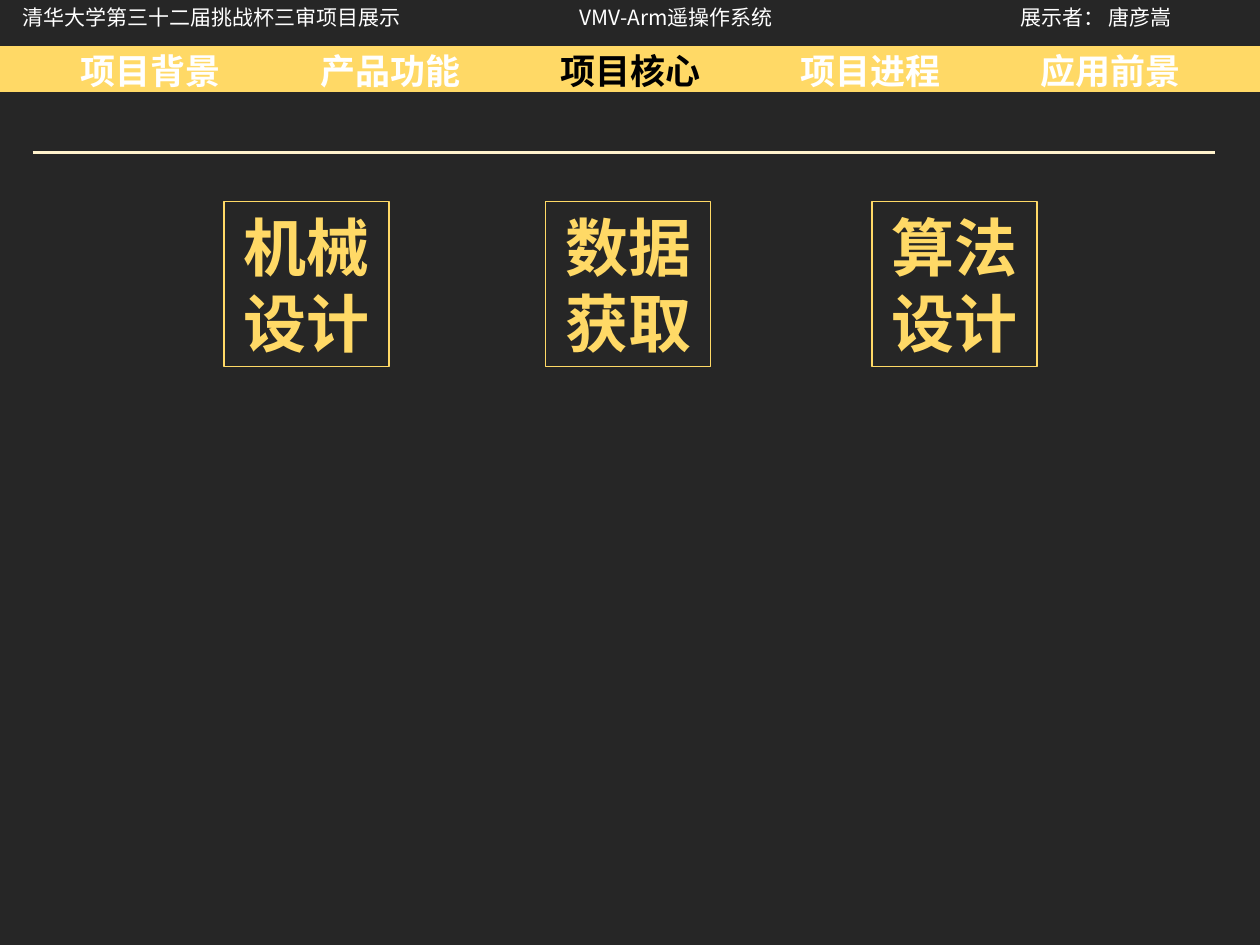
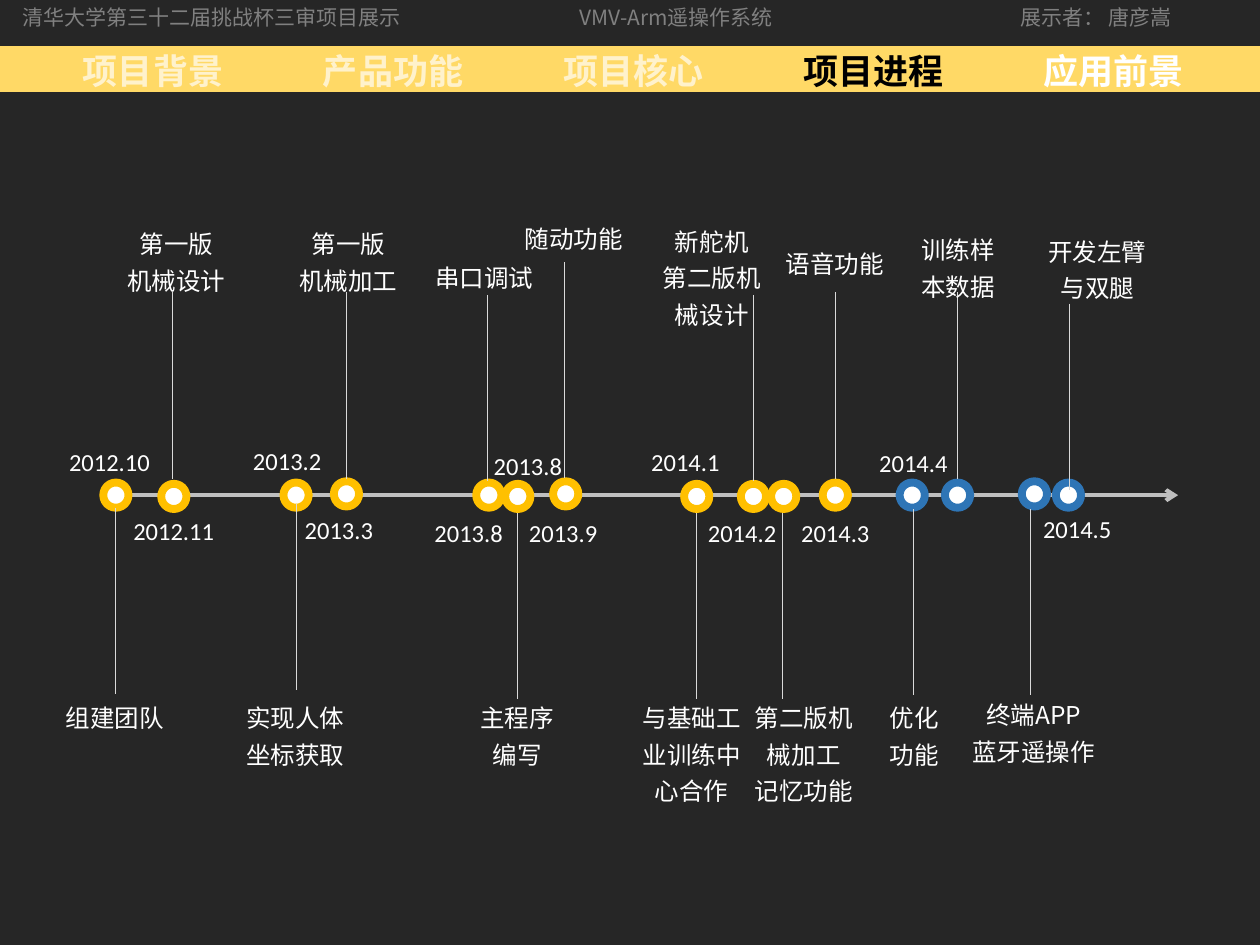
import pptx
import pptx.util
import pptx.dml.color
import pptx.enum.shapes
import pptx.enum.text
import pptx.oxml.ns
from lxml import etree

Inches = pptx.util.Inches
Pt = pptx.util.Pt
RGBColor = pptx.dml.color.RGBColor
MSO_SHAPE = pptx.enum.shapes.MSO_SHAPE
PP_ALIGN = pptx.enum.text.PP_ALIGN
qn = pptx.oxml.ns.qn

DARK = RGBColor(0x26, 0x26, 0x26)
YELLOW = RGBColor(0xFF, 0xD9, 0x66)
CREAM = RGBColor(0xFF, 0xF2, 0xCC)
WHITE = RGBColor(0xFF, 0xFF, 0xFF)
BLACK = RGBColor(0x00, 0x00, 0x00)
GREY = RGBColor(0x80, 0x80, 0x80)
AXIS = RGBColor(0xBF, 0xBF, 0xBF)
STEM = RGBColor(0xD9, 0xD9, 0xD9)
DONE = RGBColor(0xFF, 0xC0, 0x00)
PLANNED = RGBColor(0x2E, 0x75, 0xB6)

CJK = "Noto Sans CJK SC"
LATIN = "Calibri"

SECTIONS = ["项目背景", "产品功能", "项目核心", "项目进程", "应用前景"]
HEADER = ["清华大学第三十二届挑战杯三审项目展示", "VMV-Arm遥操作系统", "展示者： 唐彦嵩"]
HEADER_TABS = [4.42, 7.92]
SECTION_PITCH = 1.905

CORES = [(0, "机械设计"), (2.55, "数据获取"), (5.14, "算法设计")]

DOT = 0.2
STEM_LENGTH = 1.48
DATE_WIDTH = 1.03

# dot x, dot y, ring, stem x, stem y, label, label x, label y, label width, date, date x, date y
MILESTONES = [
    (0.82, 3.83, DONE, 0.92, 4.03, "组建团队", 0.4, 5.47, 1.02, "2012.10", 0.45, 3.5),
    (1.28, 3.84, DONE, 1.37, 2.32, "第一版\n机械设计", 0.78, 1.71, 1.24, "2012.11", 0.96, 4.05),
    (2.25, 3.83, DONE, 2.35, 4.0, "实现人体坐标获取", 1.79, 5.47, 1.11, "2013.2", 1.91, 3.49),
    (2.65, 3.82, DONE, 2.75, 2.32, "第一版\n机械加工", 2.25, 1.71, 1.03, "2013.3", 2.32, 4.04),
    (3.78, 3.83, DONE, 3.87, 2.34, "串口调试", 3.35, 1.98, 0.99, "2013.8", 3.35, 4.06),
    (4.01, 3.84, DONE, 4.11, 4.07, "主程序\n编写", 3.55, 5.47, 1.11, "2013.8", 3.82, 3.53),
    (4.39, 3.82, DONE, 4.48, 2.08, "随动功能", 4.04, 1.67, 1.03, "2013.9", 4.1, 4.06),
    (5.43, 3.84, DONE, 5.53, 4.07, "与基础工业训练中心合作", 5, 5.47, 0.98, "2014.1", 5.07, 3.5),
    (5.88, 3.84, DONE, 5.98, 2.34, "新舵机\n第二版机械设计", 5.1, 1.69, 1.1, "2014.2", 5.52, 4.06),
    (6.12, 3.84, DONE, 6.21, 4.07, "第二版机械加工\n记忆功能", 5.85, 5.47, 1.06, None, 0, 0),
    (6.53, 3.83, DONE, 6.63, 2.32, "语音功能", 6.13, 1.87, 0.99, "2014.3", 6.26, 4.06),
    (7.14, 3.83, PLANNED, 7.25, 4.04, "优化功能", 6.91, 5.47, 0.69, "2014.4", 6.88, 3.51),
    (7.5, 3.83, PLANNED, 7.6, 2.32, "训练样本数据", 7.16, 1.76, 0.89, None, 0, 0),
    (8.11, 3.82, PLANNED, 8.18, 4.04, "终端APP\n蓝牙遥操作", 7.6, 5.45, 1.21, None, 0, 0),
    (8.38, 3.83, PLANNED, 8.49, 2.41, "开发左臂与双腿", 8.19, 1.77, 1.04, "2014.5", 8.18, 4.03),
]


def format_text(tf, size, color, bold=False, font=CJK, align=PP_ALIGN.LEFT, spacing=None):
    tf.word_wrap = True
    for p in tf.paragraphs:
        p.alignment = align
        if spacing:
            p.line_spacing = spacing
        p.font.size = Pt(size)
        p.font.bold = bold
        p.font.color.rgb = color
        p.font.name = font
        ea = etree.SubElement(p._p.pPr.find(qn("a:defRPr")), qn("a:ea"))
        ea.set("typeface", font)


def add_text(s, x, y, w, h, text, size, color, **style):
    tf = s.shapes.add_textbox(Inches(x), Inches(y), Inches(w), Inches(h)).text_frame
    tf.text = text
    format_text(tf, size, color, **style)


def add_box(s, kind, x, y, w, h, fill, line, width):
    sp = s.shapes.add_shape(kind, Inches(x), Inches(y), Inches(w), Inches(h))
    sp.shadow.inherit = False
    if fill is None:
        sp.fill.background()
    else:
        sp.fill.solid()
        sp.fill.fore_color.rgb = fill
    sp.line.color.rgb = line
    sp.line.width = Pt(width)
    return sp


def add_line(s, x1, y1, x2, y2, color, width):
    line = s.shapes.add_connector(pptx.enum.shapes.MSO_CONNECTOR.STRAIGHT,
                                  Inches(x1), Inches(y1), Inches(x2), Inches(y2))
    line.line.color.rgb = color
    line.line.width = Pt(width)
    etree.SubElement(line._element.spPr, qn("a:effectLst"))
    return line


def add_header(s, x, y, w, h, color):
    tf = s.shapes.add_textbox(Inches(x), Inches(y), Inches(w), Inches(h)).text_frame
    tf.text = "\t".join(HEADER)
    tabs = etree.SubElement(tf.paragraphs[0]._p.get_or_add_pPr(), qn("a:tabLst"))
    for pos in HEADER_TABS:
        etree.SubElement(tabs, qn("a:tab"), pos=str(Inches(pos)), algn="l")
    format_text(tf, 12, color)


def add_section_band(s, x, y, w, h, inset, colors):
    add_box(s, MSO_SHAPE.RECTANGLE, x, y, w, h, YELLOW, YELLOW, 1)
    for i, (section, color) in enumerate(zip(SECTIONS, colors)):
        add_text(s, x + inset + i * SECTION_PITCH, y - 0.03, 1.49, 0.44,
                 section, 20, color, bold=True)


def new_slide(prs, band_x, inset, section_colors, header_color):
    s = prs.slides.add_slide(prs.slide_layouts[6])
    s.background.fill.solid()
    s.background.fill.fore_color.rgb = DARK
    add_section_band(s, band_x, 0.37, 10.01, 0.35, inset, section_colors)
    add_header(s, 0.08, -0.01, 9.74, 0.3, header_color)
    return s


def add_cores(s, x, y, side):
    for dx, core in CORES:
        sp = add_box(s, MSO_SHAPE.RECTANGLE, x + dx, y, side, side, None, YELLOW, 1)
        sp.text_frame.text = core
        format_text(sp.text_frame, 36, YELLOW, bold=True, align=PP_ALIGN.CENTER)


def add_milestone(s, x, y, dot_x, dot_y, ring, stem_x, stem_y, label,
                  label_x, label_y, label_w, date, date_x, date_y):
    add_box(s, MSO_SHAPE.OVAL, x + dot_x, y + dot_y, DOT, DOT, WHITE, ring, 4.5)
    stem_end = max(stem_y + STEM_LENGTH, 3.79)
    add_line(s, x + stem_x, y + stem_y, x + stem_x, y + stem_end, STEM, 0.5)
    add_text(s, x + label_x, y + label_y, label_w, 0.69, label, 14, WHITE,
             align=PP_ALIGN.CENTER, spacing=1.25)
    if date:
        add_text(s, x + date_x, y + date_y, DATE_WIDTH, 0.34, date, 14, WHITE, font=LATIN)


def add_timeline(s, x, y):
    axis = add_line(s, x + 0.82, y + 3.93, x + 9.35, y + 3.93, AXIS, 2.25)
    etree.SubElement(axis.line._get_or_add_ln(), qn("a:tailEnd"), type="arrow")
    for milestone in MILESTONES:
        add_milestone(s, x, y, *milestone)


def build_core_slide(prs):
    s = new_slide(prs, -0.01, 0.55, [WHITE, WHITE, BLACK, WHITE, WHITE], WHITE)
    add_line(s, 0.26, 1.21, 9.64, 1.21, CREAM, 1.5)
    add_cores(s, 1.78, 1.6, 1.31)


def build_progress_slide(prs):
    s = new_slide(prs, 0, 0.56, [CREAM, CREAM, CREAM, BLACK, WHITE], GREY)
    add_timeline(s, 0, 0)


def main():
    prs = pptx.Presentation()
    prs.slide_width = Inches(10)
    prs.slide_height = Inches(7.5)
    build_core_slide(prs)
    build_progress_slide(prs)
    prs.save("out.pptx")


if __name__ == "__main__":
    main()
